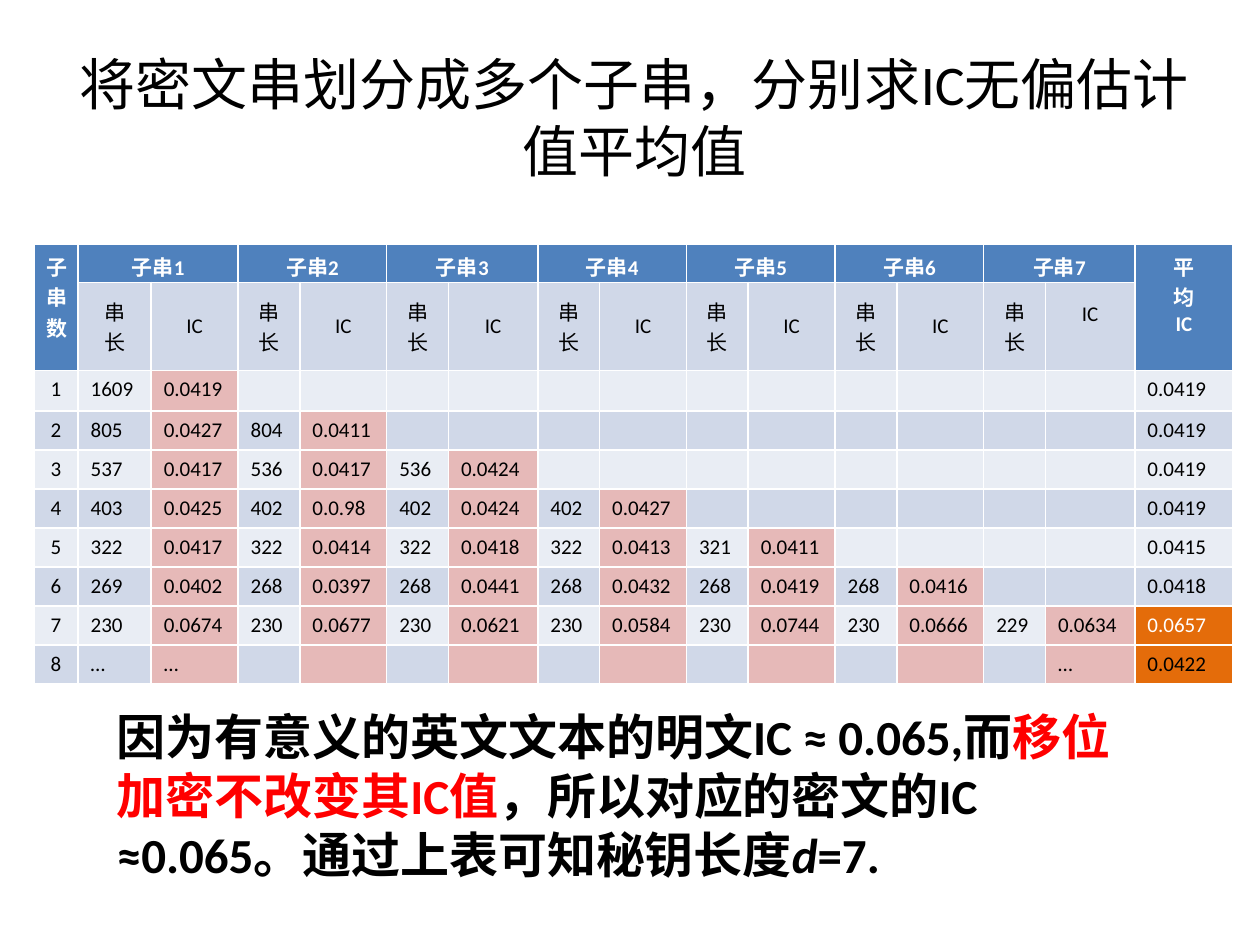
from pptx import Presentation
from pptx.dml.color import RGBColor as RGB
from pptx.enum.lang import MSO_LANGUAGE_ID as Lang
from pptx.enum.text import MSO_ANCHOR as Anchor, MSO_AUTO_SIZE as Auto, PP_ALIGN as Align
from pptx.util import Inches, Pt

COLORS = {"black": "000000", "white": "FFFFFF", "red": "FF0000",
          "head": "4F81BD", "dark": "D0D8E8", "light": "E9EDF4",
          "pink": "E6B9B8", "orange": "E46C0A"}


def style(run, size, color="black", bold=False):
    font = run.font
    font.name, font.size, font.bold = "Calibri", Pt(size), bold
    font.color.rgb = RGB.from_string(COLORS[color])
    font.language_id = Lang.SIMPLIFIED_CHINESE


def put(cell, text, fill, color="black", bold=False, align=None):
    """Fill a table cell and write its text, one paragraph a line."""
    cell.fill.solid()
    cell.fill.fore_color.rgb = RGB.from_string(COLORS[fill])
    cell.text_frame.text = text
    for para in cell.text_frame.paragraphs:
        para.alignment = align
        for run in para.runs:
            style(run, 12, color, bold)
        if not para.runs:  # keeps empty cells as low as the others
            para._p.get_or_add_endParaRPr().set("sz", "1200")


prs = Presentation()
prs.slide_width, prs.slide_height = Inches(10), Inches(7.5)
slide = prs.slides.add_slide(prs.slide_layouts[6])
shapes = slide.shapes

# Title
title = shapes.add_textbox(Inches(0.5), Inches(0.3), Inches(9.07), Inches(1.25))
frame = title.text_frame
frame.word_wrap = True
frame.vertical_anchor = Anchor.MIDDLE
frame.text = "将密文串划分成多个子串，分别求IC无偏估计值平均值"
frame.paragraphs[0].alignment = Align.CENTER
style(frame.paragraphs[0].runs[0], 32)

# Table: number of substrings, (length, IC) pairs, mean IC
DATA = [
    ("1609 0.0419", "0.0419"),
    ("805 0.0427 804 0.0411", "0.0419"),
    ("537 0.0417 536 0.0417 536 0.0424", "0.0419"),
    ("403 0.0425 402 0.0.98 402 0.0424 402 0.0427", "0.0419"),
    ("322 0.0417 322 0.0414 322 0.0418 322 0.0413 321 0.0411", "0.0415"),
    ("269 0.0402 268 0.0397 268 0.0441 268 0.0432 268 0.0419 268 0.0416", "0.0418"),
    ("230 0.0674 230 0.0677 230 0.0621 230 0.0584 230 0.0744 230 0.0666 229 0.0634",
     "0.0657"),
    ("… …", "0.0422"),
]
WIDTHS = [0.35, 0.58, 0.69, 0.49, 0.69, 0.49, 0.71] + [0.49, 0.69] * 3 + [0.49, 0.71, 0.78]
HEIGHTS = [0.28, 0.39, 0.32] + [0.31] * 7
LAST = len(WIDTHS) - 1

table = shapes.add_table(len(HEIGHTS), len(WIDTHS), Inches(0.27), Inches(1.94),
                         Inches(9.54), Inches(3.27)).table
for col, width in zip(table.columns, WIDTHS):
    col.width = Inches(width)
for row, height in zip(table.rows, HEIGHTS):
    row.height = Inches(height)

# Two header rows
for c in range(LAST + 1):
    put(table.cell(0, c), "", "head")
    put(table.cell(1, c), "", "head")
for c, text, align in ((0, "子\n串\n数", None), (LAST, "平\n均\nIC", Align.CENTER)):
    table.cell(0, c).merge(table.cell(1, c))
    put(table.cell(0, c), text, "head", "white", True, align)
for n in range(1, 8):
    c = 2 * n - 1
    table.cell(0, c).merge(table.cell(0, c + 1))
    put(table.cell(0, c), f"子串{n}", "head", "white", True, Align.CENTER)
    for k, text in enumerate(("串\n长", "IC")):
        cell = table.cell(1, c + k)
        put(cell, text, "dark", align=Align.CENTER)
        cell.vertical_anchor = Anchor.MIDDLE
table.cell(1, LAST - 1).margin_bottom = Inches(0.25)

# Data rows
for n, (pairs, mean) in enumerate(DATA, 1):
    r = n + 1
    band = "light" if n % 2 else "dark"
    vals = pairs.split()
    vals += [""] * (LAST - 1 - len(vals))
    if n == 8:
        vals[-1] = "…"
    put(table.cell(r, 0), str(n), band, align=Align.CENTER)
    for c, val in enumerate(vals, 1):
        pink = c % 2 == 0 and c <= 2 * n
        put(table.cell(r, c), val, "pink" if pink else band)
    put(table.cell(r, LAST), mean, "orange" if n >= 7 else band,
        "white" if n == 7 else "black")

# Conclusion
note = shapes.add_textbox(Inches(0.83), Inches(5.56), Inches(8.43), Inches(1.51))
frame = note.text_frame
frame.word_wrap = True
frame.auto_size = Auto.SHAPE_TO_FIT_TEXT
for text, color in (("因为有意义的英文文本的明文IC ≈ 0.065,而", "black"),
                    ("移位加密不改变其IC值", "red"),
                    ("，所以对应的密文的IC ≈0.065。通过上表可知秘钥长度", "black"),
                    ("d", "black"), ("=7.", "black")):
    run = frame.paragraphs[0].add_run()
    run.text = text
    style(run, 28, color, True)
    run.font.italic = text == "d"

prs.save("out.pptx")
